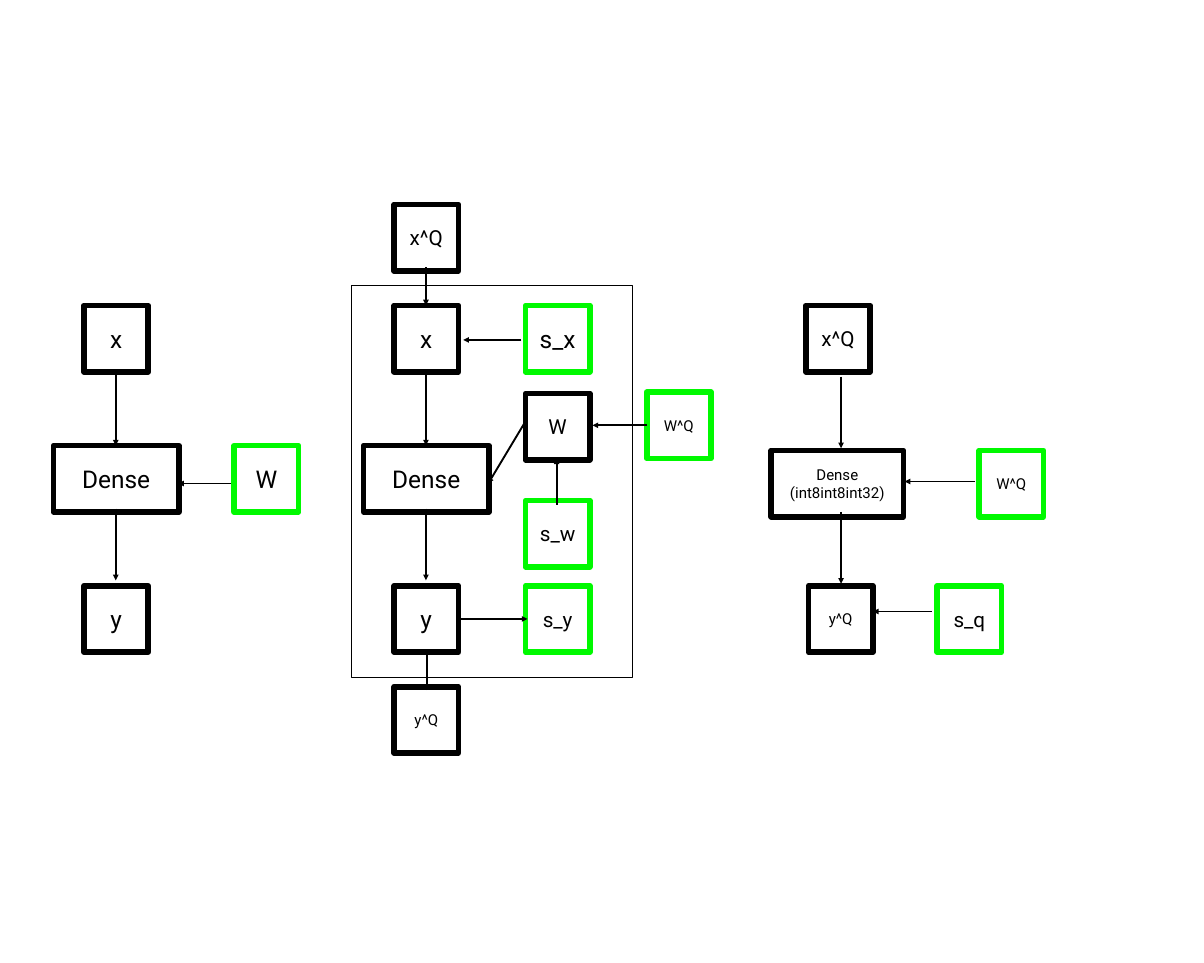
from lxml import etree
from pptx import Presentation, util as u
from pptx.dml.color import RGBColor
from pptx.enum import shapes, text
from pptx.oxml.ns import qn

BLACK, GREEN, WHITE = "000000", "00F900", "FFFFFF"
SIDE, HEIGHT = 0.95, 0.98
INPUT_TOP, DENSE_TOP, OUTPUT_TOP = 4.51, 6.58, 8.65

deck = Presentation()
deck.slide_width, deck.slide_height = u.Inches(17.78), u.Inches(14.22)
slide = deck.slides.add_slide(deck.slide_layouts[6])
color = RGBColor.from_string


def add_node(label, left, top, size, outline=BLACK, width=SIDE):
    node = slide.shapes.add_shape(
        shapes.MSO_SHAPE.RECTANGLE,
        u.Inches(left), u.Inches(top), u.Inches(width), u.Inches(HEIGHT))
    node.shadow.inherit = False
    node.fill.solid()
    node.fill.fore_color.rgb = color(WHITE)
    node.line.color.rgb = color(outline)
    node.line.width = u.Pt(6)
    frame = node.text_frame
    frame.text = label
    frame.word_wrap = True
    frame.vertical_anchor = text.MSO_ANCHOR.MIDDLE
    frame.margin_left = frame.margin_right = u.Inches(0.07)
    frame.margin_top = frame.margin_bottom = u.Inches(0.07)
    for paragraph in frame.paragraphs:
        paragraph.alignment = text.PP_ALIGN.CENTER
        for run in paragraph.runs:
            run.font.name = "Roboto"
            run.font.size = u.Pt(size)
            run.font.color.rgb = color(BLACK)


def add_arrow(x1, y1, x2, y2):
    arrow = slide.shapes.add_connector(
        shapes.MSO_CONNECTOR.STRAIGHT,
        u.Inches(x1), u.Inches(y1), u.Inches(x2), u.Inches(y2))
    arrow.line.color.rgb = color(BLACK)
    arrow.line.width = u.Pt(2)
    etree.SubElement(arrow.line._get_or_add_ln(), qn("a:tailEnd"), type="triangle")
    etree.SubElement(arrow._element.spPr, qn("a:effectLst"))


# Float layer and quantized layer share the chain x -> Dense -> y
for chain_left in (0.79, 5.37):
    add_node("x", chain_left + 0.45, INPUT_TOP, 26)
    add_node("Dense", chain_left, DENSE_TOP, 26, width=1.85)
    add_node("y", chain_left + 0.45, OUTPUT_TOP, 26)
    for start in (5.52, 7.51):
        add_arrow(chain_left + 0.92, start, chain_left + 0.92, start + 1.06)

# Weights of the float layer
add_node("W", 3.46, DENSE_TOP, 26, GREEN)
add_arrow(3.41, 7.14, 2.63, 7.14)

# Quantized layer: input, output, weights and scales
for label, left, top, size, outline in [
    ("x^Q", 5.82, 3.02, 22, BLACK),
    ("y^Q", 5.82, 10.14, 16, BLACK),
    ("s_x", 7.76, INPUT_TOP, 26, GREEN),
    ("W", 7.76, 5.81, 22, BLACK),
    ("s_w", 7.76, 7.39, 22, GREEN),
    ("s_y", 7.76, OUTPUT_TOP, 22, GREEN),
    ("W^Q", 9.55, 5.79, 16, GREEN),
]:
    add_node(label, left, top, size, outline)

for ends in [
    (6.29, 3.95, 6.29, 4.51),   # x^Q to x
    (7.70, 5.02, 6.84, 5.02),   # s_x to x
    (7.78, 6.19, 7.21, 7.14),   # W to Dense
    (9.56, 6.28, 8.75, 6.28),   # W^Q to W
    (8.22, 7.45, 8.22, 6.77),   # s_w to W
    (6.75, 9.14, 7.79, 9.14),   # y to s_y
    (6.30, 9.63, 6.30, 10.19),  # y to y^Q
]:
    add_arrow(*ends)

# Frame around the quantized layer
layer_frame = slide.shapes.add_shape(
    shapes.MSO_SHAPE.RECTANGLE,
    u.Inches(5.19), u.Inches(4.21), u.Inches(4.15), u.Inches(5.79))
layer_frame.shadow.inherit = False
layer_frame.fill.background()
layer_frame.line.color.rgb = color(BLACK)
layer_frame.line.width = u.Pt(1)

# Integer layer
add_node("x^Q", 11.9, INPUT_TOP, 22)
add_node("Dense\n(int8int8int32)", 11.39, 6.65, 16, width=1.95)
add_node("y^Q", 11.94, OUTPUT_TOP, 16)
add_node("W^Q", 14.46, 6.65, 16, GREEN)
add_node("s_q", 13.84, OUTPUT_TOP, 22, GREEN)
for start in (5.56, 7.56):
    add_arrow(12.42, start, 12.42, start + 1.06)
add_arrow(14.4, 7.11, 13.36, 7.11)
add_arrow(13.76, 9.03, 12.89, 9.03)

deck.save("out.pptx")
